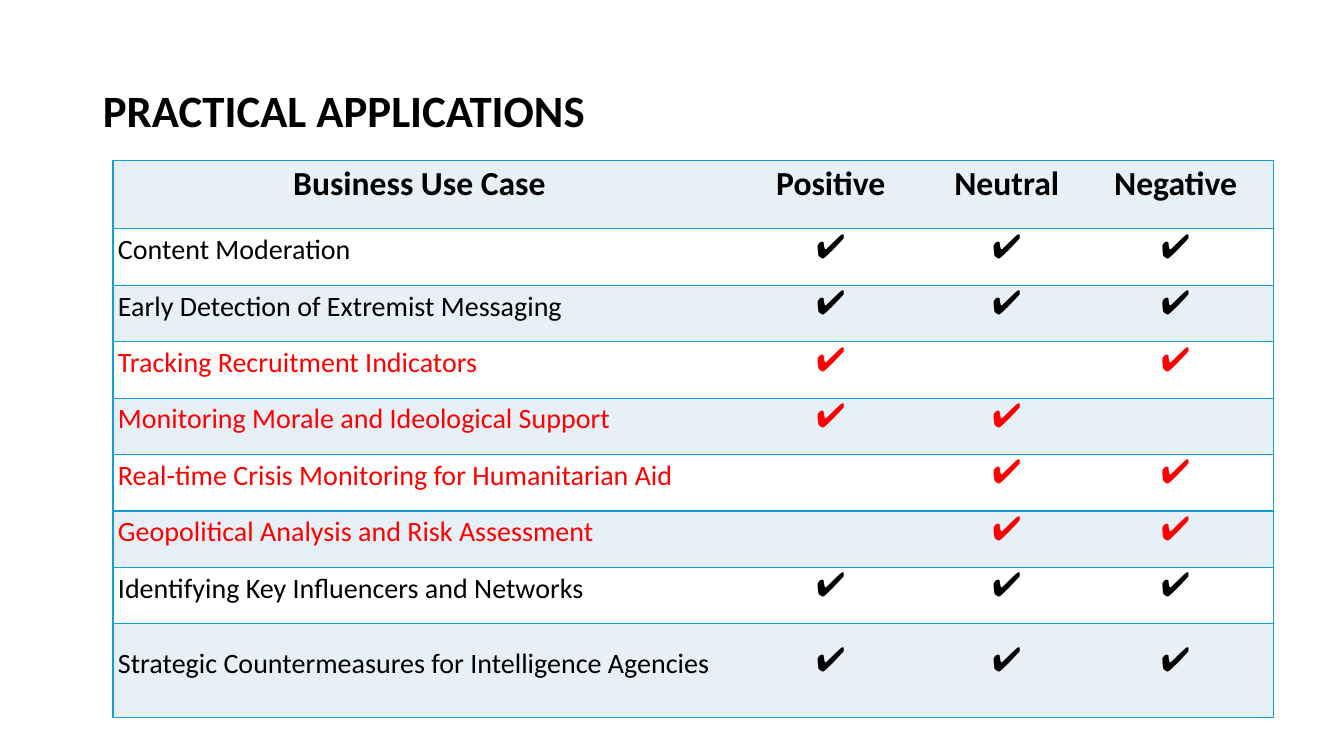
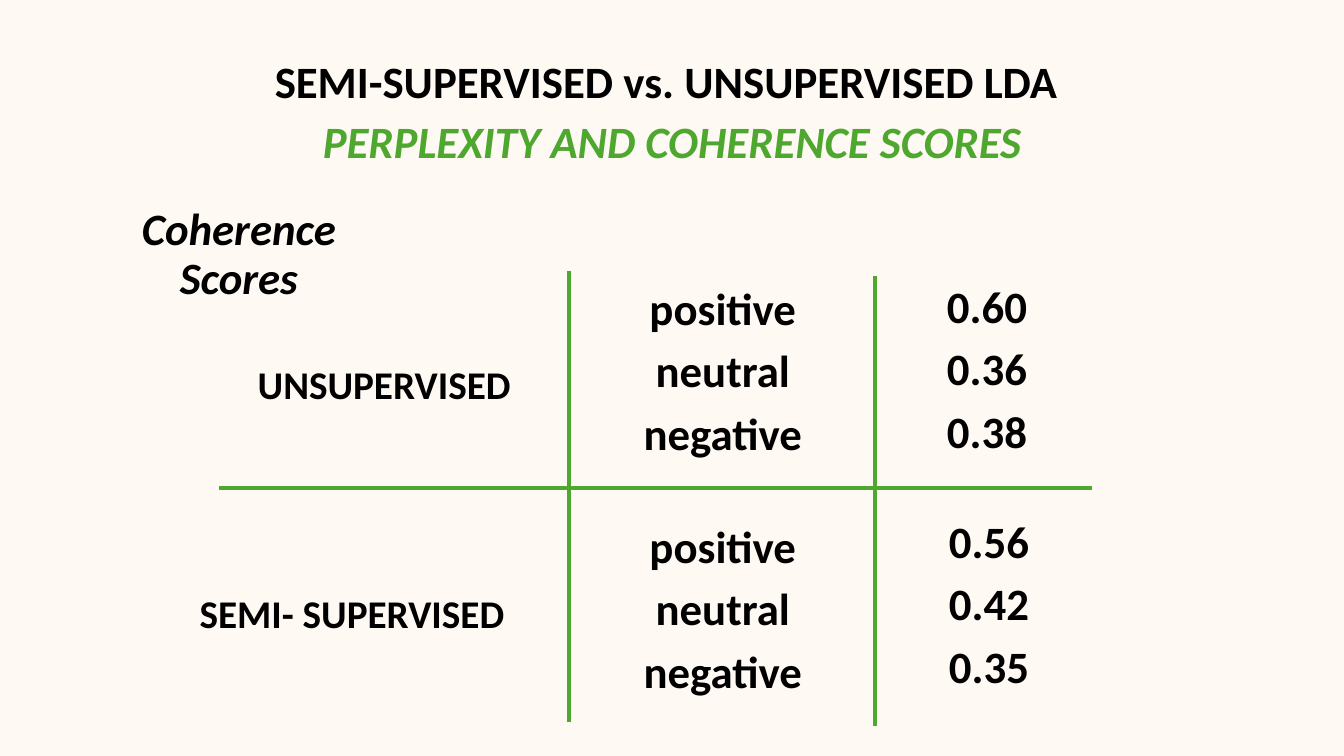
import pptx
import pptx.dml.color
import pptx.enum.shapes
import pptx.enum.text
import pptx.oxml
import pptx.oxml.ns
import pptx.util

PX = 9144  # one hundred px to the inch
FONT = "Calibri"
BLACK, RED, GREEN, BLUE = "000000", "FF0000", "4EA72E", "0F9ED5"
PALE, WHITE, CREAM = "E7F0F7", "FFFFFF", "FFF9F3"
ALIGN = pptx.enum.text.PP_ALIGN
MIDDLE = pptx.enum.text.MSO_ANCHOR.MIDDLE

HEADS = ["Business Use Case", "Positive", "Neutral", "Negative"]
CASES = [  # name, marks under positive / neutral / negative, colour
    ("Content Moderation", "✔✔✔", BLACK),
    ("Early Detection of Extremist Messaging", "✔✔✔", BLACK),
    ("Tracking Recruitment Indicators", "✔ ✔", RED),
    ("Monitoring Morale and Ideological Support", "✔✔ ", RED),
    ("Real-time Crisis Monitoring for Humanitarian Aid", " ✔✔", RED),
    ("Geopolitical Analysis and Risk Assessment", " ✔✔", RED),
    ("Identifying Key Influencers and Networks", "✔✔✔", BLACK),
    ("Strategic Countermeasures for Intelligence Agencies", "✔✔✔", BLACK),
]
WIDTHS = [615, 201, 148, 187]
HEIGHTS = [68] + [56] * 7 + [93]

MOODS = ["positive", "neutral", "negative"]
BOXES = [  # lines, (left, top, width, height), size, colour, italic
    (["PERPLEXITY AND COHERENCE SCORES"], (92, 70, 1150, 145), 32, GREEN, True),
    (["Coherence Scores"], (83, 181, 308, 145), 32, BLACK, True),
    (["UNSUPERVISED"], (179, 311, 404, 145), 28, BLACK, False),
    (MOODS, (515, 257, 404, 227), 32, BLACK, False),
    (["0.60", "0.36", "0.38"], (777, 255, 404, 227), 32, BLACK, False),
    (["SEMI- SUPERVISED"], (147, 538, 404, 145), 28, BLACK, False),
    (MOODS, (515, 474, 404, 265), 32, BLACK, False),
    (["0.56", "0.42", "0.35"], (779, 488, 404, 227), 32, BLACK, False),
]
RULES = [(217, 484, 1083, 484), (564, 716, 564, 269), (868, 720, 868, 274)]


def px(*sizes):
    return [pptx.util.Emu(size * PX) for size in sizes]


def paint(target, tint):
    target.rgb = pptx.dml.color.RGBColor.from_string(tint)


def write(para, text, size, tint=BLACK, bold=True, slant=False):
    run = para.add_run()
    run.text = text
    font = run.font
    font.name, font.size = FONT, pptx.util.Pt(size)
    font.bold, font.italic = bold, slant
    paint(font.color, tint)


def fill_text(frame, lines, size, tint=BLACK, slant=False, align=ALIGN.CENTER):
    frame.word_wrap = True
    frame.auto_size = pptx.enum.text.MSO_AUTO_SIZE.NONE
    frame.vertical_anchor = MIDDLE
    for i, line in enumerate(lines):
        para = frame.add_paragraph() if i else frame.paragraphs[0]
        para.alignment, para.line_spacing = align, 0.9
        if i:
            para.space_before = pptx.util.Pt(10)
        write(para, line, size, tint, slant=slant)


def add_slide(deck, title, box, align, back):
    slide = deck.slides.add_slide(deck.slide_layouts[5])
    slide.background.fill.solid()
    paint(slide.background.fill.fore_color, back)
    head = slide.shapes.title
    head.left, head.top, head.width, head.height = px(*box)
    fill_text(head.text_frame, [title], 32, align=align)
    return slide


def add_edges(cell, shown):
    """Draw the sides named in shown (from L, R, T, B) and clear the others."""
    props = cell._tc.get_or_add_tcPr()
    for side in "LRTB":
        ink = (f'<a:solidFill><a:srgbClr val="{BLUE}"/></a:solidFill>'
               if side in shown else "<a:noFill/>")
        props.append(pptx.oxml.parse_xml(
            f'<a:ln{side} {pptx.oxml.ns.nsdecls("a")} w="12700">{ink}</a:ln{side}>'))


def add_uses(slide):
    rows = [(HEADS, BLACK)]
    rows += [([name, *marks], tint) for name, marks, tint in CASES]
    last = len(HEADS) - 1
    grid = slide.shapes.add_table(
        len(rows), len(HEADS), *px(112, 159, sum(WIDTHS), sum(HEIGHTS))).table
    grid.horz_banding = False
    for col, width in zip(grid.columns, px(*WIDTHS)):
        col.width = width
    for r, (texts, tint) in enumerate(rows):
        grid.rows[r].height = px(HEIGHTS[r])[0]
        for c, text in enumerate(texts):
            cell = grid.cell(r, c)
            label = r > 0 and c == 0
            add_edges(cell, "TB" + {0: "L", last: "R"}.get(c, ""))
            cell.fill.solid()
            paint(cell.fill.fore_color, WHITE if r % 2 else PALE)
            cell.vertical_anchor = MIDDLE
            cell.margin_left, cell.margin_top, cell.margin_bottom = px(5, 5, 5)
            cell.margin_right = px(5 if label else 12)[0]
            para = cell.text_frame.paragraphs[0]
            para.alignment = ALIGN.LEFT if label else ALIGN.CENTER
            para.line_spacing = pptx.util.Pt(14.6)
            if text.strip():
                write(para, text, 20 if label else 24, tint, bold=r == 0)


def add_rule(slide, ends):
    rule = slide.shapes.add_connector(
        pptx.enum.shapes.MSO_CONNECTOR.STRAIGHT, *px(*ends))
    paint(rule.line.color, GREEN)
    rule.line.width = pptx.util.Pt(3)
    rule._element.spPr.append(pptx.oxml.parse_xml(
        f'<a:effectLst {pptx.oxml.ns.nsdecls("a")}/>'))


def main():
    deck = pptx.Presentation()
    deck.slide_width, deck.slide_height = px(1333, 750)

    uses = add_slide(deck, "PRACTICAL APPLICATIONS", (92, 40, 1150, 145),
                     ALIGN.LEFT, WHITE)
    add_uses(uses)

    scores = add_slide(deck, "SEMI-SUPERVISED vs. UNSUPERVISED LDA",
                       (86, 11, 1150, 145), ALIGN.CENTER, CREAM)
    for ends in RULES:
        add_rule(scores, ends)
    for lines, box, size, tint, slant in BOXES:
        frame = scores.shapes.add_textbox(*px(*box)).text_frame
        fill_text(frame, lines, size, tint, slant)

    deck.save("out.pptx")


if __name__ == "__main__":
    main()
